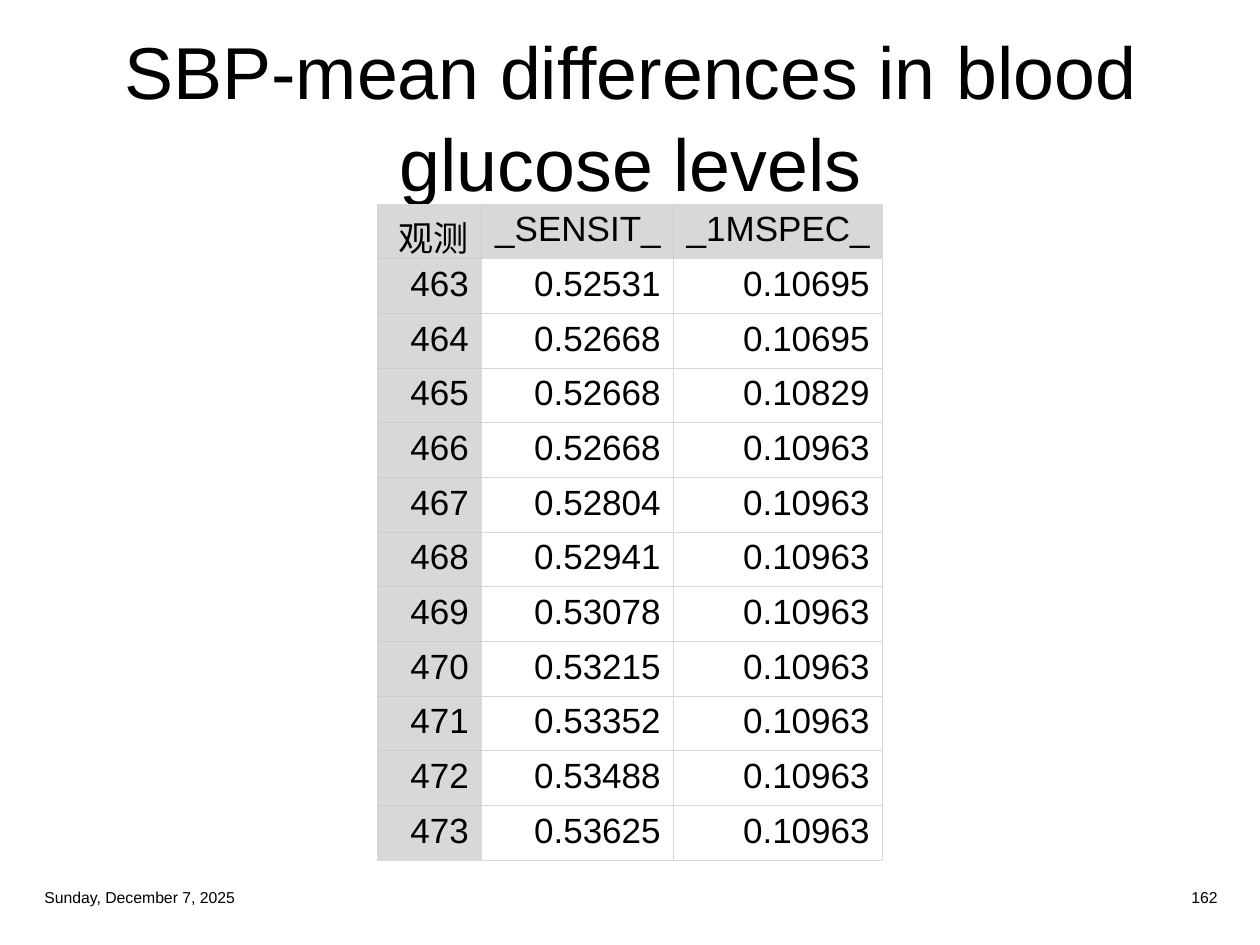
from dataclasses import dataclass

from lxml.etree import SubElement
from pptx import Presentation
from pptx.dml.color import RGBColor as RGB
from pptx.enum.text import MSO_ANCHOR as Anchor, PP_ALIGN as Align
from pptx.oxml.ns import qn
from pptx.util import Pt

TITLE_LINES = ["SBP-mean differences in blood", "glucose levels"]
HEADINGS = ["观测", "_SENSIT_", "_1MSPEC_"]
OBSERVATIONS = [
    ("463", "0.52531", "0.10695"),
    ("464", "0.52668", "0.10695"),
    ("465", "0.52668", "0.10829"),
    ("466", "0.52668", "0.10963"),
    ("467", "0.52804", "0.10963"),
    ("468", "0.52941", "0.10963"),
    ("469", "0.53078", "0.10963"),
    ("470", "0.53215", "0.10963"),
    ("471", "0.53352", "0.10963"),
    ("472", "0.53488", "0.10963"),
    ("473", "0.53625", "0.10963"),
]
DATE = "Sunday, December 7, 2025"
PAGE_NUMBER = "162"

SLIDE_SIZE = (1260, 945)
TITLE_BOX = (32, 32, 1197, 165)
TABLE_TOP, TABLE_HEIGHT = 204, 630
COLUMN_WIDTHS = [104, 192, 209]
DATE_BOX = (32, 881, 300, 33)
PAGE_BOX = (930, 881, 300, 33)


@dataclass(frozen=True)
class Theme:
    font: str = "Arial"
    ink: str = "000000"
    header_fill: str = "D8D8D8"
    border: str = "D8D8D8"
    header_border: str = "CCCCCC"
    border_width: float = 0.5
    title_size: int = 42
    table_size: int = 20
    footer_size: int = 9
    title_spacing: float = 1.04


THEME = Theme()


def px(length):
    return round(length * 914400 / 126)


def write(paragraph, lines, size, align):
    paragraph.alignment = align
    for index, line in enumerate(lines):
        if index:
            paragraph.add_line_break()
        run = paragraph.add_run()
        run.text = line
        run.font.name = THEME.font
        run.font.size = Pt(size)
        run.font.color.rgb = RGB.from_string(THEME.ink)


def add_text(slide, box, lines, size, align):
    frame = slide.shapes.add_textbox(*map(px, box)).text_frame
    frame.word_wrap = True
    frame.vertical_anchor = Anchor.MIDDLE
    paragraph = frame.paragraphs[0]
    write(paragraph, lines, size, align)
    return paragraph


def set_borders(cell, colours):
    """Draw the left, right, top and bottom edges in the four colours."""
    properties = cell._tc.get_or_add_tcPr()
    for side, colour in zip("LRTB", colours):
        line = SubElement(properties, qn(f"a:ln{side}"), w=str(Pt(THEME.border_width)))
        fill = SubElement(line, qn("a:solidFill"))
        SubElement(fill, qn("a:srgbClr"), val=colour)


def add_observations(slide):
    rows = [HEADINGS, *OBSERVATIONS]
    width = sum(COLUMN_WIDTHS)
    left = (SLIDE_SIZE[0] - width) / 2
    table = slide.shapes.add_table(
        len(rows), len(HEADINGS), px(left), px(TABLE_TOP), px(width), px(TABLE_HEIGHT)
    ).table
    table.first_row = table.horz_banding = False
    for column, column_width in zip(table.columns, COLUMN_WIDTHS):
        column.width = px(column_width)
    last_row, last_column = len(rows) - 1, len(HEADINGS) - 1

    for r, values in enumerate(rows):
        table.rows[r].height = px(TABLE_HEIGHT / len(rows))
        for c, value in enumerate(values):
            cell = table.cell(r, c)
            is_header = r == 0 or c == 0
            on_outside = (c == 0, c == last_column, r == 0, r == last_row)
            set_borders(cell, [
                THEME.header_border if is_header and not outside else THEME.border
                for outside in on_outside
            ])
            if is_header:
                cell.fill.solid()
                cell.fill.fore_color.rgb = RGB.from_string(THEME.header_fill)
            else:
                cell.fill.background()
            write(cell.text_frame.paragraphs[0], [value], THEME.table_size, Align.RIGHT)


def main():
    deck = Presentation()
    deck.slide_width, deck.slide_height = map(px, SLIDE_SIZE)
    slide = deck.slides.add_slide(deck.slide_layouts[6])
    title = add_text(slide, TITLE_BOX, TITLE_LINES, THEME.title_size, Align.CENTER)
    title.line_spacing = THEME.title_spacing
    add_observations(slide)
    add_text(slide, DATE_BOX, [DATE], THEME.footer_size, Align.LEFT)
    add_text(slide, PAGE_BOX, [PAGE_NUMBER], THEME.footer_size, Align.RIGHT)
    deck.save("out.pptx")


if __name__ == "__main__":
    main()
